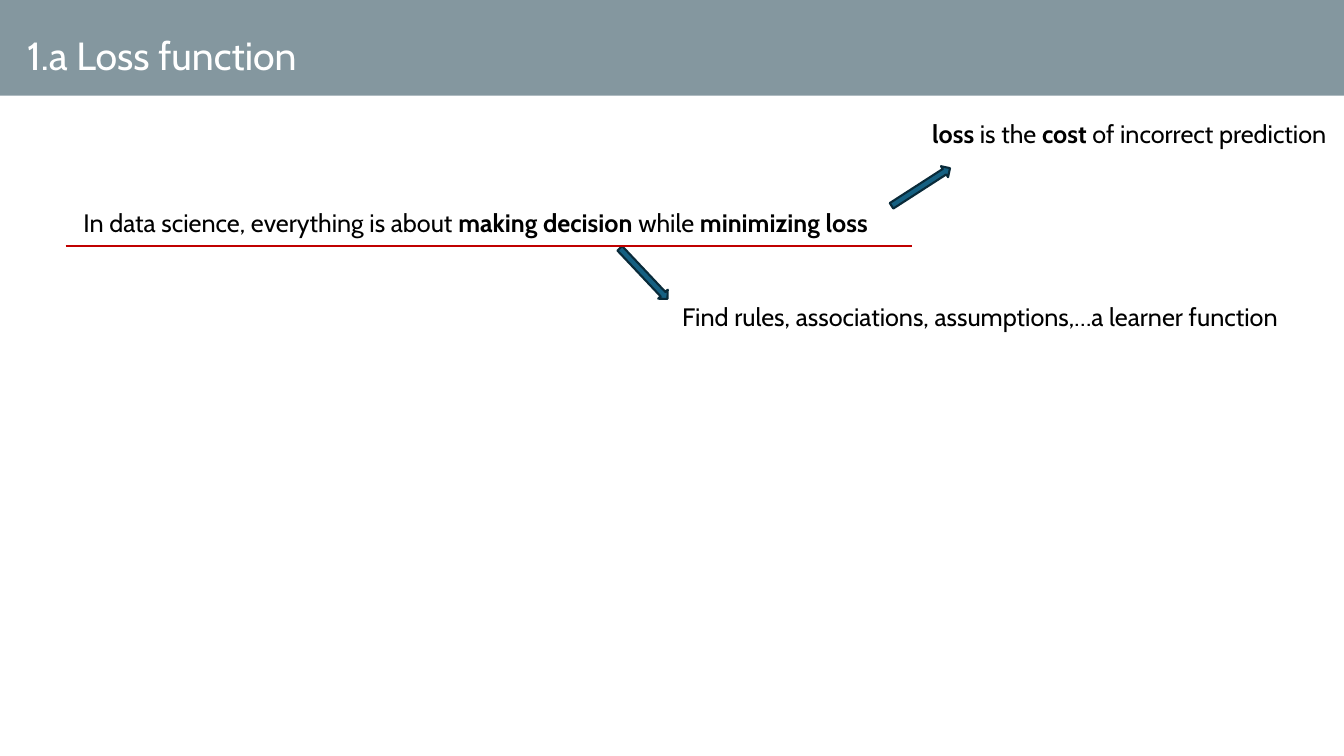
import pptx
import pptx.dml.color
import pptx.enum.shapes
import pptx.enum.text
import pptx.oxml.xmlchemy
import pptx.util
from lxml import etree
from pptx.oxml.ns import qn

Pt = pptx.util.Pt

FONT = "Cabin"
SLIDE_SIZE = (960, 540)
BANNER = (-8.64, -2.88, 977.04, 71.28)
UNDERLINE = (46.8, 175.68, 651.6, 175.68)
ARROW_SIZE = (49.68, 9.36)

ARROWS = [
    {"left": 434.88, "top": 190.8, "rotation": 46.7},
    {"left": 632.88, "top": 128.88, "rotation": 327.2},
]

TEXTS = [
    {"box": (658.8, 80.64, 310.32, 28.8), "size": 18, "color": "000000",
     "runs": [("loss", True), (" is the ", False), ("cost", True),
              (" of incorrect prediction", False)]},
    {"box": (480.24, 211.68, 468, 28.8), "size": 18, "color": "000000",
     "runs": [("Find rules, associations, assumptions,…a learner function", False)]},
    {"box": (12.24, 18.72, 223.2, 41.04), "size": 28, "color": "FFFFFF",
     "runs": [("1.a Loss function", False)]},
    {"box": (52.56, 144.72, 605.52, 28.8), "size": 18, "color": "000000",
     "runs": [("In data science, everything is about ", False),
              ("making decision ", True), ("while ", False),
              ("minimizing loss", True)]},
]


def points(values):
    return [Pt(value) for value in values]


def paint(target, color):
    if hasattr(target, "solid"):
        target.solid()
        target = target.fore_color
    target.rgb = pptx.dml.color.RGBColor.from_string(color)


def set_attributes(target, values):
    for name, value in values.items():
        setattr(target, name, value)


def add_filled(slide, kind, box, color):
    filled = slide.shapes.add_shape(kind, *points(box))
    filled.shadow.inherit = False
    paint(filled.fill, color)
    return filled


def add_banner(slide):
    banner = add_filled(slide, pptx.enum.shapes.MSO_SHAPE.RECTANGLE, BANNER, "0B3041")
    banner.line.fill.background()
    tint = banner.fill._xPr.find(".//" + qn("a:srgbClr"))
    etree.SubElement(tint, qn("a:alpha"), val="50000")


def add_arrow(slide, left, top, rotation):
    arrow = add_filled(slide, pptx.enum.shapes.MSO_SHAPE.RIGHT_ARROW,
                       (left, top, *ARROW_SIZE), "156082")
    arrow.rotation = rotation
    paint(arrow.line.fill, "092A39")
    arrow.line.width = Pt(1.5)


def add_underline(slide):
    underline = slide.shapes.add_connector(
        pptx.enum.shapes.MSO_CONNECTOR.STRAIGHT, *points(UNDERLINE))
    paint(underline.line.fill, "C00000")
    underline.line.width = Pt(1.5)
    etree.SubElement(underline._element.spPr, qn("a:effectLst"))


def add_text(slide, box, size, color, runs):
    frame = slide.shapes.add_textbox(*points(box)).text_frame
    set_attributes(frame, {
        "word_wrap": False,
        "auto_size": pptx.enum.text.MSO_AUTO_SIZE.SHAPE_TO_FIT_TEXT,
    })
    for wording, bold in runs:
        run = frame.paragraphs[0].add_run()
        run.text = wording
        set_attributes(run.font, {"name": FONT, "size": Pt(size), "bold": bold})
        paint(run.font.color, color)


def main():
    deck = pptx.Presentation()
    deck.slide_width, deck.slide_height = points(SLIDE_SIZE)
    slide = deck.slides.add_slide(deck.slide_layouts[6])
    add_banner(slide)
    for arrow in ARROWS:
        add_arrow(slide, **arrow)
    add_underline(slide)
    for text in TEXTS:
        add_text(slide, **text)
    deck.save("out.pptx")


if __name__ == "__main__":
    main()
